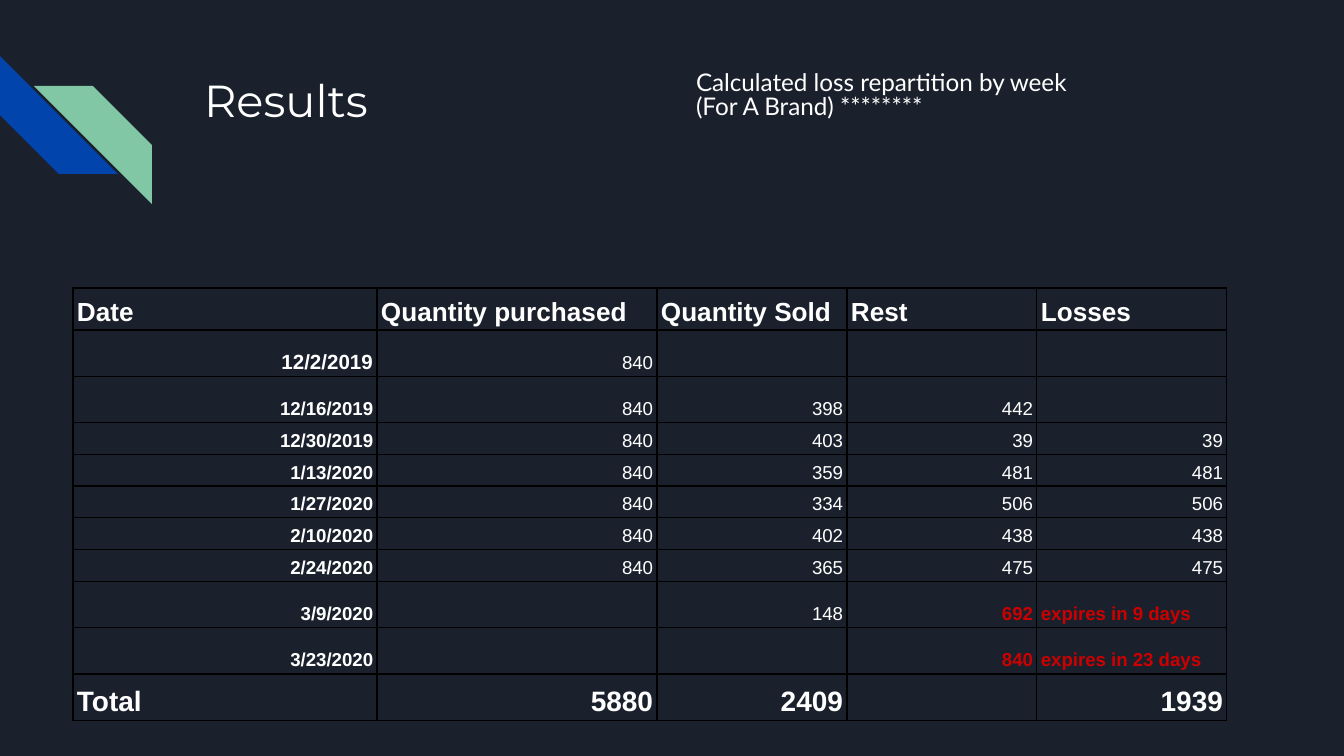
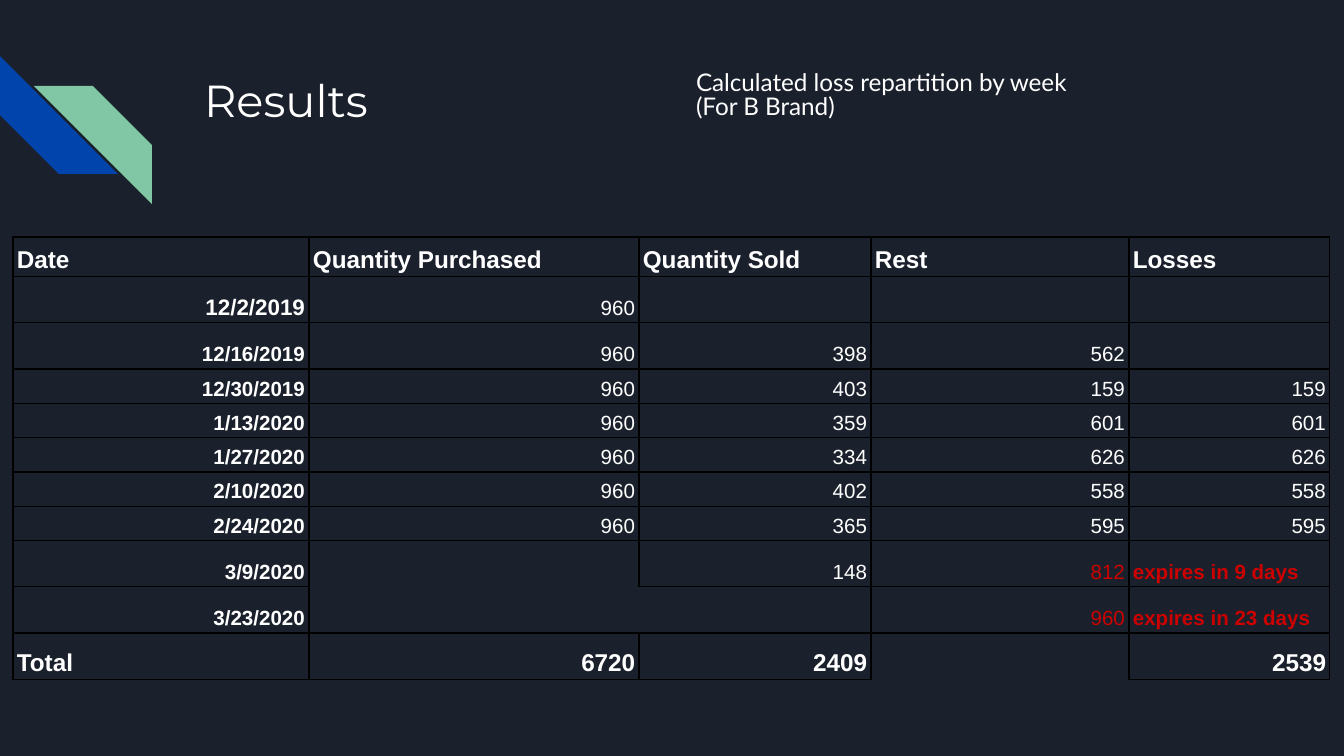
from lxml import etree
from pptx import Presentation
from pptx import util as u
from pptx.dml.color import RGBColor
from pptx.enum import shapes, text
from pptx.oxml import ns

SCALE = 9144000 / 1344
PLAIN = "{2D5ABB26-0587-4C30-8999-92F81FD0307C}"
DATES = ["12/2/2019", "12/16/2019", "12/30/2019", "1/13/2020", "1/27/2020",
         "2/10/2020", "2/24/2020", "3/9/2020", "3/23/2020"]
SOLD = ["", "398", "403", "359", "334", "402", "365", "148", ""]
ALERTS = ["expires in 9 days", "expires in 23 days"]


def px(n):
    return u.Emu(round(n * SCALE))


def color(code):
    return RGBColor.from_string(code)


class Deck:
    dark, white, red = "1B212C", "FFFFFF", "CC0000"
    blue, green, black = "0145AC", "82C7A5", "000000"

    def __init__(self):
        self.prs = Presentation()
        self.prs.slide_width = px(1344)
        self.prs.slide_height = px(756)

    def page(self, title, lines):
        self.slide = self.prs.slides.add_slide(self.prs.slide_layouts[6])
        fill = self.slide.background.fill
        fill.solid()
        fill.fore_color.rgb = color(self.dark)
        self.stripe(0, 56, self.blue, turn=270)
        self.stripe(34, 86, self.green, flip=True)
        self.label(191, 60, 446, 149, [title], "Montserrat", 24)
        self.label(683, 60, 446, 74, lines, "Lato", 13, 0.8)

    def stripe(self, x, y, code, turn=0, flip=False):
        kind = shapes.MSO_SHAPE.DIAGONAL_STRIPE
        shape = self.slide.shapes.add_shape(kind, px(x), px(y), px(118), px(118))
        shape.shadow.inherit = False
        shape.fill.solid()
        shape.fill.fore_color.rgb = color(code)
        shape.line.fill.background()
        shape.rotation = turn
        if flip:
            shape.element.spPr.xfrm.set("flipH", "1")

    def style(self, para, font, size, code, bold=False):
        for run in para.runs:
            run.font.name = font
            run.font.size = u.Pt(size)
            run.font.bold = bold
            run.font.color.rgb = color(code)

    def label(self, x, y, w, h, lines, font, size, space=1.0):
        frame = self.slide.shapes.add_textbox(px(x), px(y), px(w), px(h)).text_frame
        frame.word_wrap = True
        frame.margin_left = frame.margin_right = px(13)
        frame.margin_top = frame.margin_bottom = px(13)
        frame.text = "\n".join(lines)
        for para in frame.paragraphs:
            para.line_spacing = space
            self.style(para, font, size, self.white)

    def border(self, cell, skip):
        props = cell._tc.get_or_add_tcPr()
        for side in "LRTB":
            line = etree.SubElement(props, ns.qn("a:ln" + side), w=str(u.Pt(0.75)))
            if side in skip:
                etree.SubElement(line, ns.qn("a:noFill"))
            else:
                fill = etree.SubElement(line, ns.qn("a:solidFill"))
                etree.SubElement(fill, ns.qn("a:srgbClr"), val=self.black)

    def table(self, x, y, widths, heights, rows, look, gaps):
        frame = self.slide.shapes.add_table(
            len(rows), len(widths), px(x), px(y), px(sum(widths)), px(sum(heights)))
        grid = frame.table
        grid.first_row = grid.horz_banding = False
        grid._tbl.tblPr.find(ns.qn("a:tableStyleId")).text = PLAIN
        for col, width in zip(grid.columns, widths):
            col.width = px(width)
        for r, row in enumerate(rows):
            grid.rows[r].height = px(heights[r])
            for c, value in enumerate(row):
                cell = grid.cell(r, c)
                self.border(cell, gaps.get((r, c), ""))
                cell.fill.background()
                cell.margin_left = cell.margin_right = px(4)
                cell.margin_top = cell.margin_bottom = px(3)
                cell.vertical_anchor = text.MSO_ANCHOR.BOTTOM
                cell.text_frame.text = value
                para = cell.text_frame.paragraphs[0]
                para.line_spacing = 1.15
                if value[:1].isdigit():
                    para.alignment = text.PP_ALIGN.RIGHT
                self.style(para, "Arial", *look(r, c))


def fill_rows(head, bought, rest, total):
    buys = [bought] * 7 + ["", ""]
    loss = ["", ""] + rest[2:7] + ALERTS
    body = zip(DATES, buys, SOLD, rest, loss)
    return [head, *map(list, body), total]


def make_look(head, body, foot, bold_rest):
    def look(r, c):
        if r in (0, 10):
            return (foot if r else head), Deck.white, True
        alert = r > 7 and c > 2
        size = body + 1 if (r, c) == (1, 0) else body
        bold = c == 0 or (alert and (c == 4 or bold_rest))
        return size, (Deck.red if alert else Deck.white), bold
    return look


def main():
    deck = Deck()
    topic = "Calculated loss repartition by week"

    deck.page("Results", [topic, "(For A Brand) ********"])
    rows = fill_rows(
        ["Date", "Quantity purchased", "Quantity Sold", "Rest", "Losses"], "840",
        ["", "442", "39", "481", "506", "438", "475", "692", "840"],
        ["Total", "5880", "2409", "", "1939"])
    deck.table(73, 288, [304, 280, 190, 190, 190], [39, 44, 43] + [29] * 5 + [43] * 3,
               rows, make_look(14, 10, 15, True), {})

    deck.page("Results", [topic, "(For B Brand)"])
    rows = fill_rows(
        ["Date", "Quantity Purchased", "Quantity Sold", "Rest", "Losses"], "960",
        ["", "562", "159", "601", "626", "558", "595", "812", "960"],
        ["Total", "6720", "2409", "", "2539"])
    gaps = {(8, 1): "B", (9, 1): "TR", (9, 2): "L", (10, 3): "B"}
    deck.table(13, 237, [296, 330, 232, 258, 201], [36, 44, 43] + [32] * 5 + [43] * 3,
               rows, make_look(13, 11, 13, False), gaps)

    deck.prs.save("out.pptx")


if __name__ == "__main__":
    main()
